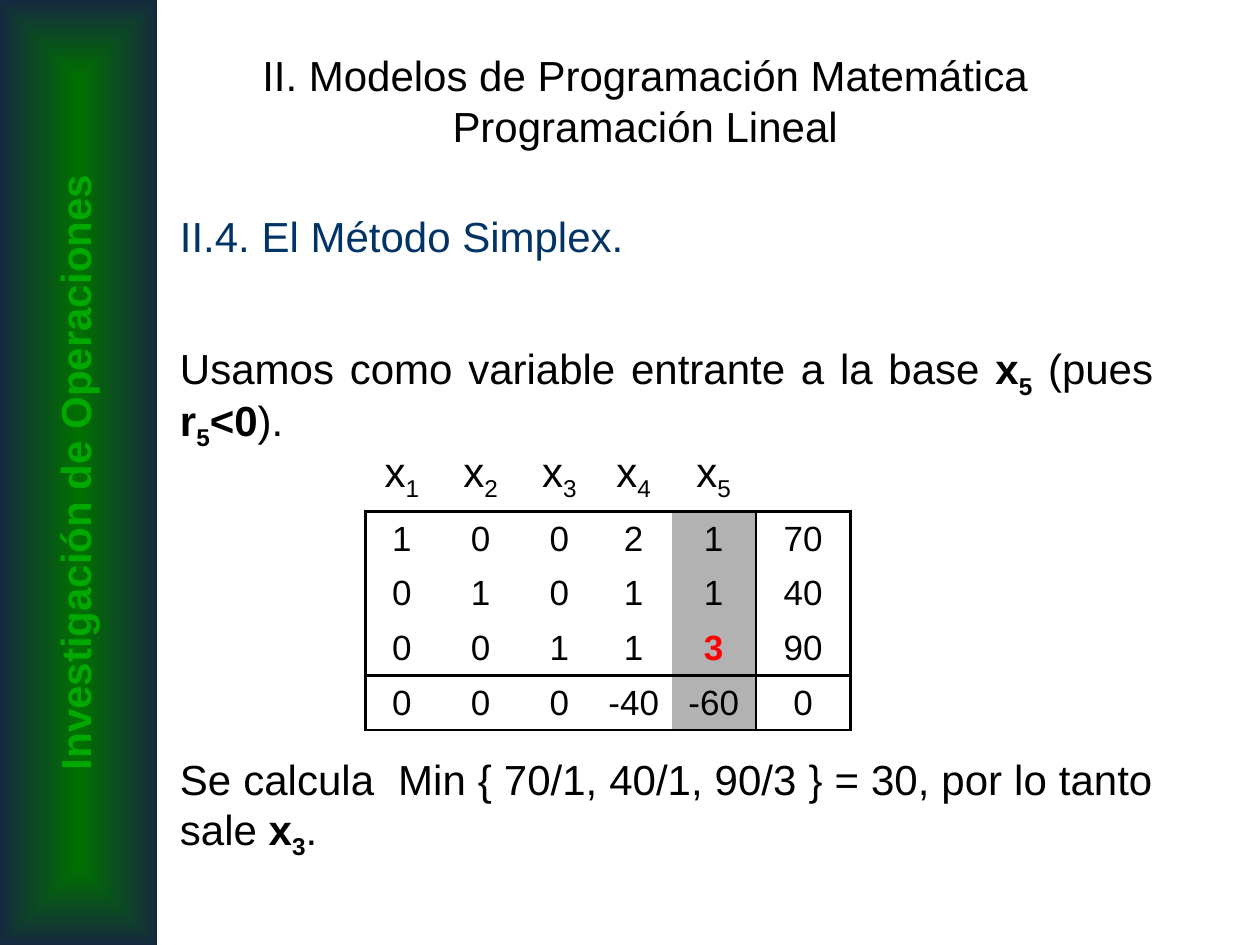
import dataclasses
import typing

import lxml.etree
import pptx
import pptx.dml.color
import pptx.enum.dml
import pptx.enum.shapes
import pptx.enum.text
import pptx.oxml.ns
import pptx.util

Inches = pptx.util.Inches
Align = pptx.enum.text.PP_ALIGN
Anchor = pptx.enum.text.MSO_ANCHOR
COLORS = {
    "black": "000000",
    "heading": "003366",
    "side_text": "00A800",
    "side_center": "007000",
    "side_edge": "152A3F",
    "entering": "B2B2B2",
    "pivot": "FF0000",
}
FONT = "Arial"
BORDER_WIDTH = 1.47
CELL_MARGIN = 0.05
COLUMN_WIDTHS = [0.58, 0.67, 0.58, 0.6, 0.67, 0.75]
HEADER_HEIGHT, ROW_HEIGHT = 0.56, 0.43
TABLEAU = [
    [1, 0, 0, 2, 1, 70],
    [0, 1, 0, 1, 1, 40],
    [0, 0, 1, 1, 3, 90],
    [0, 0, 0, -40, -60, 0],
]
ENTERING_COLUMN = 4
PIVOT = (3, 4)


@dataclasses.dataclass
class Run:
    """A stretch of text with its own weight and baseline."""
    text: str
    bold: bool = False
    subscript: bool = False


@dataclasses.dataclass
class Box:
    """The place of a text box, in inches."""
    left: float
    top: float
    width: float
    height: float
    anchor: typing.Any = Anchor.TOP
    rotation: float = 0


def rgb(name: str) -> pptx.dml.color.RGBColor:
    """Return the named colour."""
    return pptx.dml.color.RGBColor.from_string(COLORS[name])


def write(frame, text, *, first=True, size=24, color="black", align=Align.CENTER,
          before=0, spacing=1.0) -> None:
    """Write a string or a list of runs as one paragraph."""
    paragraph = frame.paragraphs[0] if first else frame.add_paragraph()
    paragraph.alignment = align
    paragraph.space_before = pptx.util.Pt(before)
    paragraph.line_spacing = spacing
    for part in [Run(text)] if isinstance(text, str) else text:
        for index, line in enumerate(part.text.split("\n")):
            if index:
                paragraph.add_line_break()
            run = paragraph.add_run()
            run.text = line
            run.font.name = FONT
            run.font.size = pptx.util.Pt(size)
            run.font.bold = part.bold
            run.font.color.rgb = rgb(color)
            if part.subscript:
                run.font._element.set("baseline", "-25000")


def add_box(slide, box: Box):
    """Add an empty wrapping text box and return its frame."""
    shape = slide.shapes.add_textbox(
        Inches(box.left), Inches(box.top), Inches(box.width), Inches(box.height))
    shape.rotation = box.rotation
    frame = shape.text_frame
    frame.word_wrap = True
    frame.vertical_anchor = box.anchor
    return frame


def add_side_band(slide) -> None:
    """Draw the gradient band with the vertical course name."""
    band = slide.shapes.add_shape(
        pptx.enum.shapes.MSO_SHAPE.RECTANGLE, 0, 0, Inches(1.25), Inches(7.5))
    band.shadow.inherit = False
    band.line.fill.background()
    band.fill.gradient()
    for stop, name in zip(band.fill.gradient_stops, ("side_center", "side_edge")):
        stop.color.rgb = rgb(name)
    gradient = band._element.spPr.find(pptx.oxml.ns.qn("a:gradFill"))
    gradient.remove(gradient.find(pptx.oxml.ns.qn("a:lin")))
    route = lxml.etree.SubElement(gradient, pptx.oxml.ns.qn("a:path"), path="rect")
    lxml.etree.SubElement(route, pptx.oxml.ns.qn("a:fillToRect"),
                          l="50000", t="50000", r="50000", b="50000")
    frame = add_box(slide, Box(-3.16, 3.5, 7.5, 0.5, rotation=270))
    write(frame, [Run("Investigación de Operaciones", bold=True)], color="side_text")


def set_borders(cell, sides: set[str]) -> None:
    """Draw the given sides of a cell and clear the others."""
    properties = cell._tc.get_or_add_tcPr()
    for index, side in enumerate("LRTB"):
        line = lxml.etree.Element(pptx.oxml.ns.qn(f"a:ln{side}"),
                                  w=str(pptx.util.Pt(BORDER_WIDTH)))
        if side in sides:
            fill = lxml.etree.SubElement(line, pptx.oxml.ns.qn("a:solidFill"))
            lxml.etree.SubElement(fill, pptx.oxml.ns.qn("a:srgbClr"), val=COLORS["black"])
        else:
            lxml.etree.SubElement(line, pptx.oxml.ns.qn("a:noFill"))
        properties.insert(index, line)


def cell_sides(row: int, column: int) -> set[str]:
    """Return the ruled sides of a cell of the tableau."""
    last_row, last_column = len(TABLEAU), len(COLUMN_WIDTHS) - 1
    rules = {
        "L": row > 0 and column in (0, last_column),
        "R": row > 0 and column in (ENTERING_COLUMN, last_column),
        "T": row in (1, last_row),
        "B": row in (0, last_row - 1, last_row),
    }
    return {side for side, ruled in rules.items() if ruled}


def add_tableau(slide) -> None:
    """Draw the simplex tableau."""
    heights = [HEADER_HEIGHT] + [ROW_HEIGHT] * len(TABLEAU)
    table = slide.shapes.add_table(
        len(heights), len(COLUMN_WIDTHS), Inches(2.9), Inches(3.5),
        Inches(sum(COLUMN_WIDTHS)), Inches(sum(heights))).table
    table.first_row = table.horz_banding = False
    for column, width in zip(table.columns, COLUMN_WIDTHS):
        column.width = Inches(width)
    header = [[Run("x"), Run(str(number), subscript=True)]
              for number in range(1, len(COLUMN_WIDTHS))] + [""]
    body = [[[Run(str(value))] for value in values] for values in TABLEAU]
    for row, texts in enumerate([header] + body):
        table.rows[row].height = Inches(heights[row])
        for column, text in enumerate(texts):
            cell = table.cell(row, column)
            cell.vertical_anchor = Anchor.MIDDLE
            cell.margin_left = cell.margin_right = Inches(CELL_MARGIN)
            if row and column == ENTERING_COLUMN:
                cell.fill.solid()
                cell.fill.fore_color.rgb = rgb("entering")
            else:
                cell.fill.background()
            set_borders(cell, cell_sides(row, column))
            is_pivot = (row, column) == PIVOT
            if is_pivot:
                text[0].bold = True
            write(cell.text_frame, text, size=20 if row else 24,
                  color="pivot" if is_pivot else "black")


def main() -> None:
    """Build the slide and save it."""
    presentation = pptx.Presentation()
    presentation.slide_width, presentation.slide_height = Inches(10), Inches(7.5)
    slide = presentation.slides.add_slide(presentation.slide_layouts[6])
    add_side_band(slide)
    body = add_box(slide, Box(1.33, 1.67, 7.92, 5.5))
    style = {"align": Align.JUSTIFY, "spacing": 0.9}
    write(body, "II.4. El Método Simplex.", color="heading", **style)
    write(body, [
        Run("Usamos como variable entrante a la base "), Run("x", True),
        Run("5", True, True), Run(" (pues "), Run("r", True), Run("5", True, True),
        Run("<0", True), Run(")."),
    ], first=False, before=46.5, **style)
    write(body, [
        Run("Se calcula  Min { 70/1, 40/1, 90/3 } = 30, por lo tanto sale "),
        Run("x", True), Run("3", True, True), Run("."),
    ], first=False, before=178.5, **style)
    add_tableau(slide)
    title = add_box(slide, Box(1.33, 0.17, 7.58, 1.25, Anchor.MIDDLE))
    write(title, "II. Modelos de Programación Matemática\nProgramación Lineal")
    presentation.save("out.pptx")


if __name__ == "__main__":
    main()
